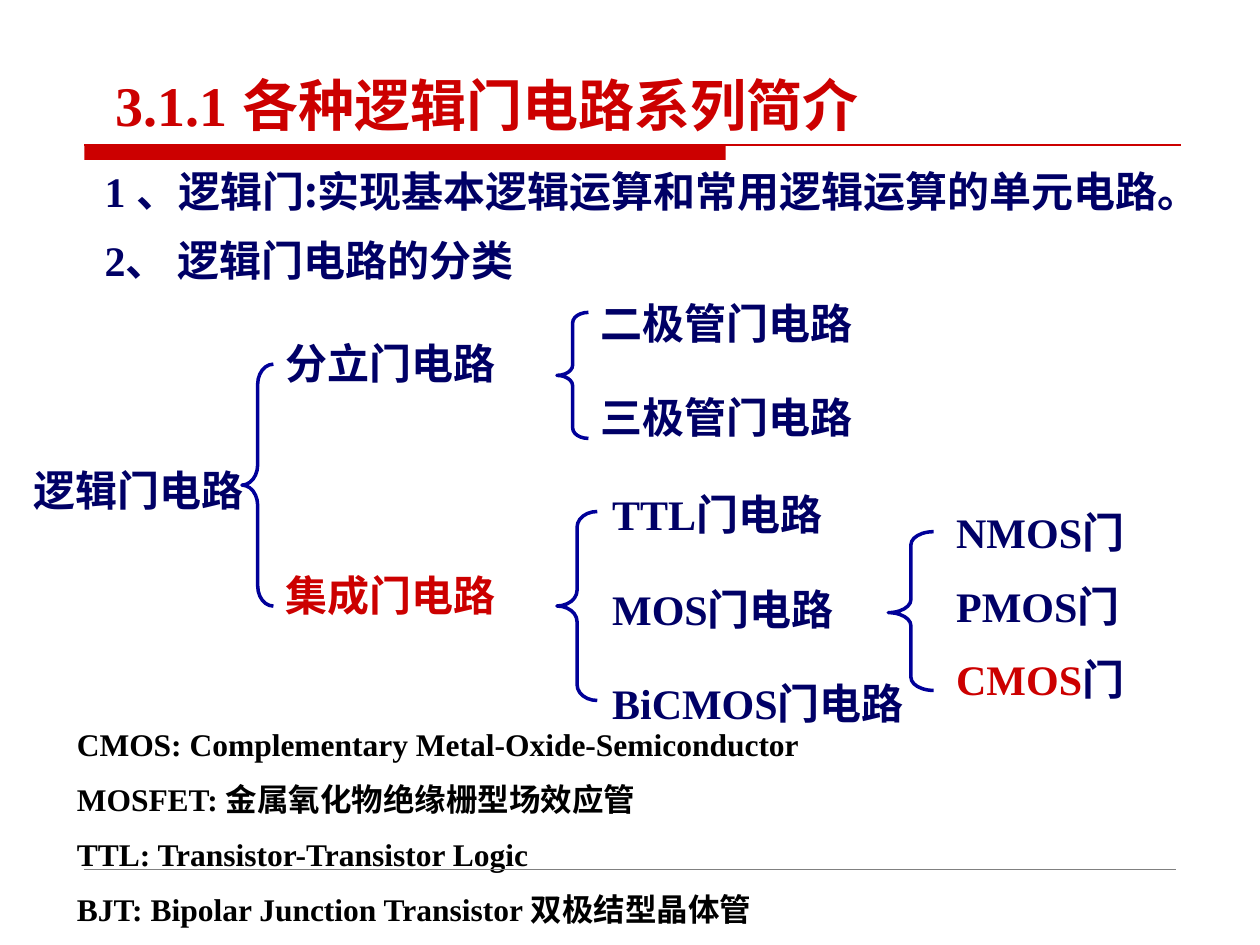
import pptx
import pptx.dml.color
import pptx.enum.shapes
import pptx.enum.text
import pptx.oxml.ns
import pptx.util
from lxml import etree
from pptx.util import Inches

COLORS = {"red": "CC0000", "navy": "000066", "brace": "000099", "black": "000000", "gray": "808080"}
LATIN = "Times New Roman"
CHINESE = "Noto Sans CJK SC"
qn = pptx.oxml.ns.qn


def rgb(name):
    return pptx.dml.color.RGBColor.from_string(COLORS[name])


def add_run(paragraph, text, font_name, color):
    run = paragraph.add_run()
    run.text = text
    run.font.color.rgb = rgb(color)
    run.font.name = font_name
    properties = run._r.get_or_add_rPr()
    etree.SubElement(properties, qn("a:ea")).set("typeface", CHINESE)


def write_paragraph(paragraph, latin, chinese, size, color="navy", chinese_color=None):
    paragraph.alignment = pptx.enum.text.PP_ALIGN.LEFT
    paragraph.font.size = pptx.util.Pt(size)
    paragraph.font.bold = True
    if latin:
        add_run(paragraph, latin, LATIN, color)
    if chinese:
        add_run(paragraph, chinese, CHINESE, chinese_color or color)


def set_frame(frame, anchor, horizontal=0.1, vertical=0.05):
    frame.word_wrap = True
    frame.auto_size = pptx.enum.text.MSO_AUTO_SIZE.NONE
    frame.vertical_anchor = anchor
    frame.margin_left = frame.margin_right = Inches(horizontal)
    frame.margin_top = frame.margin_bottom = Inches(vertical)


def place(shape, left, top, width, height):
    shape.left, shape.top = Inches(left), Inches(top)
    shape.width, shape.height = Inches(width), Inches(height)


def add_title(slide):
    title = slide.shapes.title
    place(title, 0.9, 0.55, 6.62, 0.56)
    set_frame(title.text_frame, pptx.enum.text.MSO_ANCHOR.TOP, 0.02, 0.01)
    write_paragraph(title.text_frame.paragraphs[0], "3.1.1 ", "各种逻辑门电路系列简介", 32, "red")


def add_glossary(slide, entries):
    body = slide.placeholders[1]
    place(body, 0.51, 5.7, 9.21, 1.76)
    frame = body.text_frame
    set_frame(frame, pptx.enum.text.MSO_ANCHOR.TOP)
    for index, entry in enumerate(entries):
        paragraph = frame.add_paragraph() if index else frame.paragraphs[0]
        properties = paragraph._p.get_or_add_pPr()
        properties.set("marL", "0")
        properties.set("indent", "0")
        etree.SubElement(properties, qn("a:buNone"))
        paragraph.space_before = pptx.util.Pt(10 if index else 0)
        write_paragraph(paragraph, entry, "", 18, "black")


def add_heading(slide, top, width, number, text):
    box = slide.shapes.add_textbox(Inches(0.83), Inches(top), Inches(width), Inches(0.4))
    set_frame(box.text_frame, pptx.enum.text.MSO_ANCHOR.MIDDLE, 0, 0)
    write_paragraph(box.text_frame.paragraphs[0], number, text, 24)


def add_label(slide, left, top, width, latin, chinese, color="navy", chinese_color=None):
    box = slide.shapes.add_textbox(Inches(left), Inches(top), Inches(width), Inches(0.58))
    set_frame(box.text_frame, pptx.enum.text.MSO_ANCHOR.TOP)
    paragraph = box.text_frame.paragraphs[0]
    paragraph.line_spacing = 1.2
    write_paragraph(paragraph, latin, chinese, 24, color, chinese_color)


def add_column(slide, left, top, step, width, labels):
    for index, label in enumerate(labels):
        add_label(slide, left, top + index * step, width, *label)


def add_brace(slide, left, top, width, height, curve, middle=0.5):
    brace = slide.shapes.add_shape(
        pptx.enum.shapes.MSO_SHAPE.LEFT_BRACE,
        Inches(left), Inches(top), Inches(width), Inches(height))
    brace.adjustments[0] = curve
    brace.adjustments[1] = middle
    brace.shadow.inherit = False
    brace.fill.background()
    brace.line.color.rgb = rgb("brace")
    brace.line.width = pptx.util.Pt(2)


def add_rule(slide, top, right, color, weight):
    rule = slide.shapes.add_connector(
        pptx.enum.shapes.MSO_CONNECTOR.STRAIGHT,
        Inches(0.67), Inches(top), Inches(right), Inches(top))
    rule.line.color.rgb = rgb(color)
    rule.line.width = pptx.util.Pt(weight)
    etree.SubElement(rule._element.spPr, qn("a:effectLst"))


def add_bar(slide):
    bar = slide.shapes.add_shape(
        pptx.enum.shapes.MSO_SHAPE.RECTANGLE,
        Inches(0.67), Inches(1.15), Inches(5.09), Inches(0.12))
    bar.shadow.inherit = False
    bar.fill.solid()
    bar.fill.fore_color.rgb = rgb("red")
    bar.line.fill.background()


def main():
    presentation = pptx.Presentation()
    presentation.slide_width = Inches(10)
    presentation.slide_height = Inches(7.5)
    slide = presentation.slides.add_slide(presentation.slide_layouts[1])

    add_bar(slide)
    add_rule(slide, 1.15, 9.37, "red", 0.75)
    add_rule(slide, 6.9, 9.33, "gray", 0.25)
    add_title(slide)
    add_heading(slide, 1.31, 8.9, "1 、", "逻辑门:实现基本逻辑运算和常用逻辑运算的单元电路。")
    add_heading(slide, 1.86, 5, "2、", " 逻辑门电路的分类")

    add_label(slide, 0.17, 3.56, 1.92, "", "逻辑门电路")
    add_column(slide, 2.17, 2.55, 1.84, 2.2, [("", "分立门电路"), ("", "集成门电路", "red")])
    add_column(slide, 4.67, 2.23, 0.75, 2.7, [("", "二极管门电路"), ("", "三极管门电路")])
    add_column(slide, 4.76, 3.75, 0.75, 2.91,
               [(family, "门电路") for family in ("TTL", "MOS", "BiCMOS")])
    add_column(slide, 7.49, 3.89, 0.585, 1.92,
               [("NMOS", "门"), ("PMOS", "门"), ("CMOS", "门", "red", "navy")])

    add_brace(slide, 1.92, 2.89, 0.25, 1.92, 0.64)
    add_brace(slide, 4.42, 2.48, 0.25, 1, 0.33)
    add_brace(slide, 4.42, 4.06, 0.32, 1.5, 0.39)
    add_brace(slide, 7.05, 4.22, 0.36, 1.26, 0.29, 0.51)

    add_glossary(slide, [
        "CMOS: Complementary Metal-Oxide-Semiconductor",
        "MOSFET: 金属氧化物绝缘栅型场效应管",
        "TTL: Transistor-Transistor Logic",
        "BJT: Bipolar Junction Transistor 双极结型晶体管",
    ])
    presentation.save("out.pptx")


if __name__ == "__main__":
    main()
